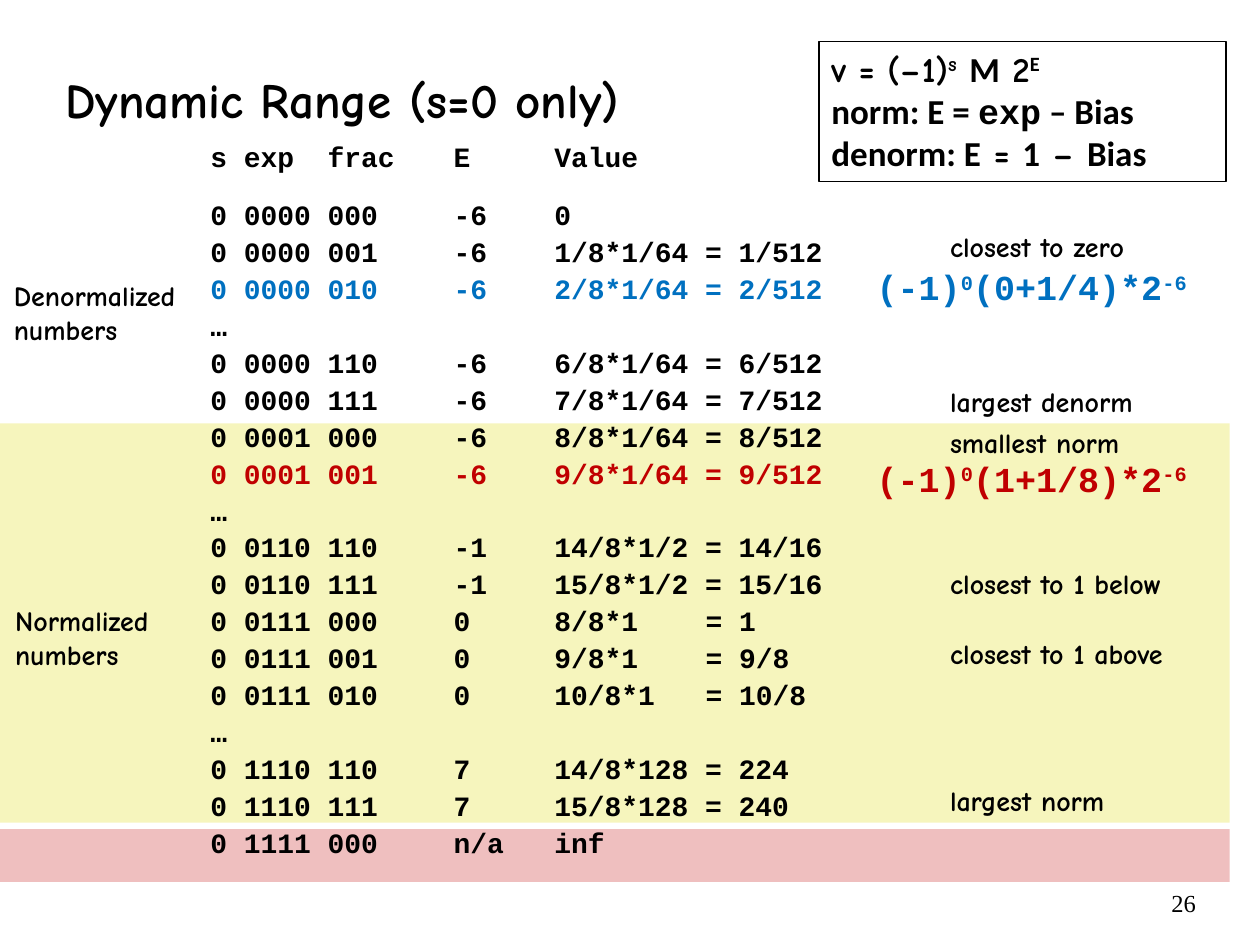
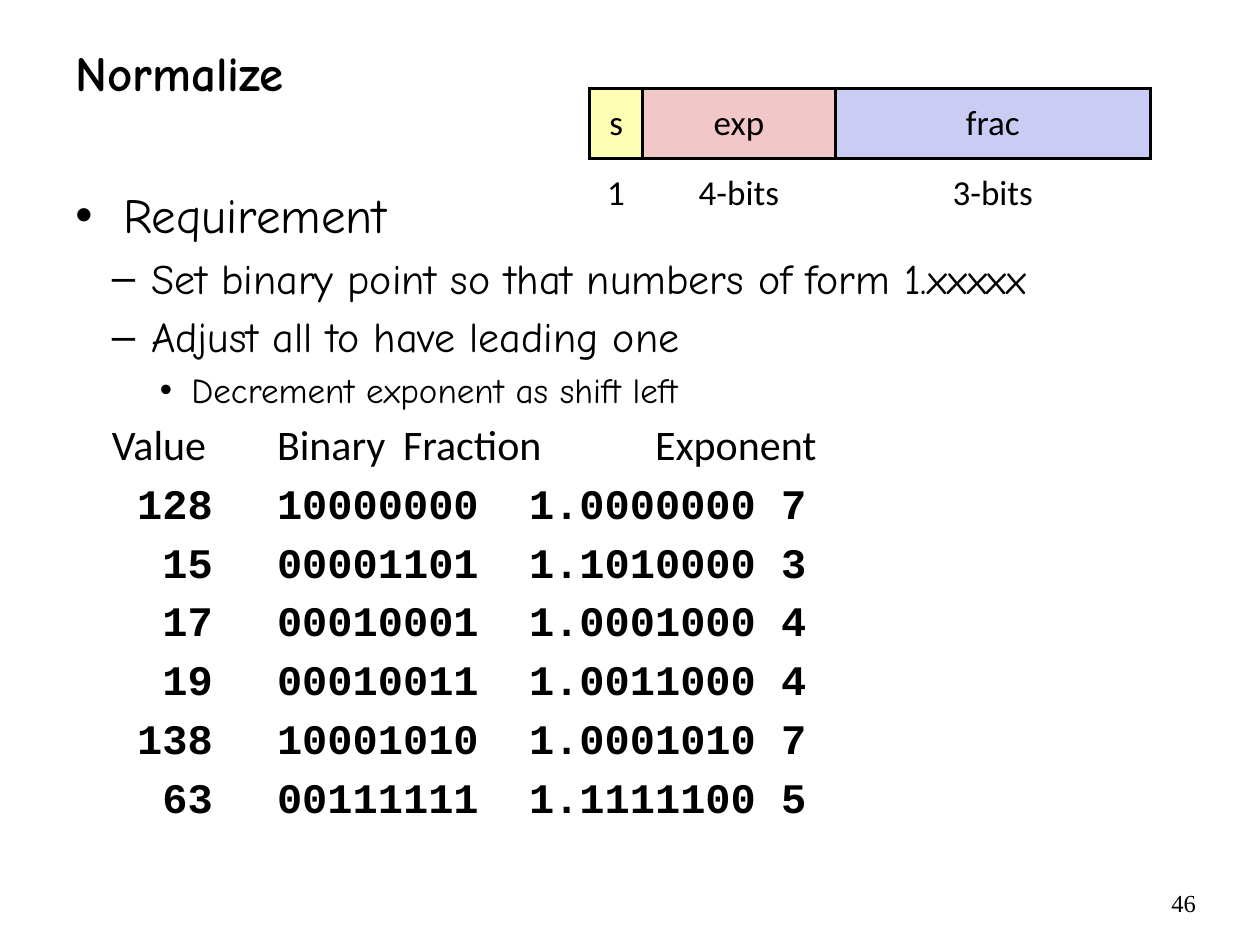
from lxml.etree import SubElement, Element
from pptx import Presentation
from pptx.dml.color import RGBColor
from pptx.enum.shapes import MSO_SHAPE
from pptx.enum.text import MSO_ANCHOR, PP_ALIGN
from pptx.oxml.ns import qn
from pptx.util import Inches, Pt

BLACK = RGBColor(0x00, 0x00, 0x00)
BLUE = RGBColor(0x00, 0x70, 0xC0)
RED = RGBColor(0xC0, 0x00, 0x00)
ROSE = RGBColor(0xEF, 0xBF, 0xBF)
CREAM = RGBColor(0xF6, 0xF5, 0xBD)
YELLOW = RGBColor(0xFF, 0xFE, 0xB2)
PINK = RGBColor(0xF1, 0xC7, 0xC7)
LILAC = RGBColor(0xCB, 0xCC, 0xF3)

COMIC, SANS, MONO, SERIF = "Comic Neue", "Calibri", "Courier New", "Times New Roman"


class Deck:
    def __init__(self):
        self.prs = Presentation()
        self.prs.slide_width, self.prs.slide_height = Inches(10), Inches(7.5)
        self.slide = None

    def start(self, title, place, number):
        """Add a slide with its title and page number."""
        self.slide = self.prs.slides.add_slide(self.prs.slide_layouts[6])
        self.text(place, [title], 28, anchor=MSO_ANCHOR.MIDDLE)
        page = self.text((8.17, 7, 1.42, 0.28), [str(number)], 14, SERIF, bold=False)
        page.text_frame.paragraphs[0].alignment = PP_ALIGN.RIGHT

    def style(self, run, size, font=COMIC, color=BLACK, bold=True, raised=0):
        run.font.size, run.font.name, run.font.bold = Pt(size), font, bold
        run.font.color.rgb = color
        if raised:
            run._r.get_or_add_rPr().set("baseline", str(raised * 1000))

    def frame(self, place, inset=None, wrap=True, anchor=MSO_ANCHOR.TOP):
        box = self.slide.shapes.add_textbox(*map(Inches, place))
        frame = box.text_frame
        frame.word_wrap, frame.vertical_anchor = wrap, anchor
        if inset is not None:
            frame.margin_left = frame.margin_right = Inches(inset)
            frame.margin_top = frame.margin_bottom = Inches(inset)
        return box

    def text(self, place, lines, size, font=COMIC, color=BLACK, bold=True, **layout):
        """Each line is a string or a list of (text, font, raised percent)."""
        box = self.frame(place, **layout)
        for i, line in enumerate(lines):
            para = self.para(box, i)
            parts = [(line, font, 0)] if isinstance(line, str) else line
            for words, face, raised in parts:
                run = para.add_run()
                run.text = words
                self.style(run, size, face, color, bold, raised)
        return box

    def para(self, box, index):
        frame = box.text_frame
        return frame.add_paragraph() if index else frame.paragraphs[0]

    def bullet(self, para, left, first, char):
        props = para._p.get_or_add_pPr()
        props.set("marL", str(Inches(left)))
        props.set("indent", str(Inches(first)))
        SubElement(props, qn("a:buFont")).set("typeface", "Arial")
        SubElement(props, qn("a:buChar")).set("char", char)

    def tabs(self, para, stops):
        """Set (place, side) tab stops; an indent would cancel them."""
        group = SubElement(para._p.get_or_add_pPr(), qn("a:tabLst"))
        for pos, side in stops:
            stop = SubElement(group, qn("a:tab"))
            stop.set("pos", str(Inches(pos)))
            stop.set("algn", side)

    def band(self, place, color):
        shape = self.slide.shapes.add_shape(MSO_SHAPE.RECTANGLE, *map(Inches, place))
        shape.shadow.inherit = False
        shape.fill.solid()
        shape.fill.fore_color.rgb = color
        shape.line.fill.background()

    def border(self, cell, sides):
        """Draw black lines on the given sides and none on the others."""
        props = cell._tc.get_or_add_tcPr()
        for i, side in enumerate("LRTB"):
            line = Element(qn("a:ln" + side))
            line.set("w", str(Pt(2)))
            if side in sides:
                fill = SubElement(line, qn("a:solidFill"))
                SubElement(fill, qn("a:srgbClr")).set("val", str(BLACK))
            else:
                SubElement(line, qn("a:noFill"))
            props.insert(i, line)

    def fields(self, place, widths, rows, colors):
        """Table of bit fields: a filled, ruled row above a plain one."""
        shape = self.slide.shapes.add_table(len(rows), len(widths), *map(Inches, place))
        table = shape.table
        table.first_row = table.horz_banding = False
        for col, width in zip(table.columns, widths):
            col.width = Inches(width)
        for r, row in enumerate(rows):
            for c, words in enumerate(row):
                cell = table.cell(r, c)
                cell.margin_left = cell.margin_right = Inches(0.06)
                cell.margin_top = cell.margin_bottom = Inches(0.06)
                cell.vertical_anchor = MSO_ANCHOR.MIDDLE
                cell.text = words
                para = cell.text_frame.paragraphs[0]
                para.alignment = PP_ALIGN.CENTER
                self.style(para.runs[0], 20, SANS, bold=False)
                if r == 0:
                    cell.fill.solid()
                    cell.fill.fore_color.rgb = colors[c]
                else:
                    cell.fill.background()
                self.border(cell, "T" if r else "LRTB")


CODES = [
    "s exp\tfrac\tE\tValue",
    "0 0000 000\t-6\t0",
    "0 0000 001\t-6\t1/8*1/64 = 1/512",
    "0 0000 010\t-6\t2/8*1/64 = 2/512",
    "…",
    "0 0000 110\t-6\t6/8*1/64 = 6/512",
    "0 0000 111\t-6\t7/8*1/64 = 7/512",
    "0 0001 000\t-6\t8/8*1/64 = 8/512",
    "0 0001 001\t-6\t9/8*1/64 = 9/512",
    "…",
    "0 0110 110\t-1\t14/8*1/2 = 14/16",
    "0 0110 111\t-1\t15/8*1/2 = 15/16",
    "0 0111 000\t0\t8/8*1\t= 1",
    "0 0111 001\t0\t9/8*1\t= 9/8",
    "0 0111 010\t0\t10/8*1\t= 10/8",
    "…",
    "0 1110 110\t7\t14/8*128 = 224",
    "0 1110 111\t7\t15/8*128 = 240",
    "0 1111 000\tn/a\tinf",
]
TINTS = {3: BLUE, 8: RED}
NOTES = [
    ("closest to zero", 1.78, 1.66),
    ("largest denorm", 3.01, 1.71),
    ("smallest norm", 3.34, 1.61),
    ("closest to 1 below", 4.46, 2.02),
    ("closest to 1 above", 5.01, 2.03),
    ("largest norm", 6.18, 1.44),
]
RULES = [
    [("v = (–1)", COMIC, 0), ("s", COMIC, 32), (" ", COMIC, 0), ("M", SANS, 0),
     (" 2", COMIC, 0), ("E", SANS, 32)],
    [("norm: E = ", SANS, 0), ("exp", MONO, 0), (" – Bias", SANS, 0)],
    [("denorm: E", SANS, 0), (" = ", COMIC, 0), ("1", SANS, 0),
     (" – ", COMIC, 0), ("Bias", SANS, 0)],
]
POINTS = [
    ("Requirement", 0, 28),
    ("Set binary point so that numbers of form 1.xxxxx", 1, 24),
    ("Adjust all to have leading one", 1, 24),
    ("Decrement exponent as shift left", 2, 20),
]
LEVELS = [(0.38, -0.38, "•"), (0.6, -0.31, "–"), (0.92, -0.25, "•")]
HEADS = ("Value", "Binary", "Fraction", "Exponent")
VALUES = [
    ("128", "10000000", "1.0000000", "7"),
    ("15", "00001101", "1.1010000", "3"),
    ("17", "00010001", "1.0001000", "4"),
    ("19", "00010011", "1.0011000", "4"),
    ("138", "10001010", "1.0001010", "7"),
    ("63", "00111111", "1.1111100", "5"),
]


def ranges(deck):
    deck.start("Dynamic Range (s=0 only)", (0.42, 0.28, 9.17, 1.01), 26)
    deck.band((0, 6.58, 9.76, 0.42), ROSE)
    deck.band((0, 3.36, 9.76, 3.17), CREAM)

    codes = deck.frame((1.67, 1.08, 5.08, 6.08), inset=0)
    stops = [(pos, "l") for pos in (0.93, 1.93, 2.73, 3.93)]
    for i, code in enumerate(CODES):
        para = deck.para(codes, i)
        para.text = code
        deck.tabs(para, stops)
        para.line_spacing = Pt(21.12)
        if i == 1:
            para.space_before = Pt(12)
        deck.style(para.runs[0], 16, MONO, TINTS.get(i, BLACK))

    for words, top, width in NOTES:
        deck.text((7.5, top, width, 0.35), [words], 16, inset=0.04, wrap=False)
    for kind, left, top, width in (("Denormalized", 0.07, 2.17, 1.55),
                                   ("Normalized", 0.08, 4.75, 1.29)):
        deck.text((left, top, width, 0.62), [kind, "numbers"], 16, inset=0.04, wrap=False)

    rules = deck.text((6.5, 0.33, 3.23, 1.11), RULES, 20)
    rules.line.color.rgb = BLACK
    rules.line.width = Pt(0.75)

    for middle, top, color in (("(0+1/4)*2", 2.06, BLUE), ("(1+1/8)*2", 3.58, RED)):
        parts = [("(-1)", MONO, 0), ("0", MONO, 30), (middle, MONO, 0), ("-6", MONO, 30)]
        deck.text((6.86, top, 2.73, 0.44), [parts], 20, color=color, wrap=False)


def normal(deck):
    deck.start("Normalize", (0.5, 0.22, 9.08, 0.7), 46)
    body = deck.frame((0.5, 1.08, 9.08, 5.83), anchor=MSO_ANCHOR.MIDDLE)

    def add(index, words, size, font=COMIC, bold=False):
        para = deck.para(body, index)
        para.text = words
        para.line_spacing = Pt(size * 1.2)
        if index:
            para.space_before = Pt(size * 0.2)
        deck.style(para.runs[0], size, font, bold=bold)
        return para

    for i, (words, level, size) in enumerate(POINTS):
        para = add(i, words, size)
        para.level = level
        deck.bullet(para, *LEVELS[level])

    stops = [(1.6 + i, "l") for i in range(5)]
    for i, row in enumerate([HEADS] + VALUES, len(POINTS)):
        head = row is HEADS
        para = add(i, "\t" + "\t".join(row), 24, SANS if head else MONO, not head)
        deck.tabs(para, [(0.29, "l") if head else (1.09, "r")] + stops)

    deck.fields((4.68, 0.7, 4.44, 1.11), (0.42, 1.53, 2.5),
                [("s", "exp", "frac"), ("1", "4-bits", "3-bits")],
                (YELLOW, PINK, LILAC))


def main():
    deck = Deck()
    ranges(deck)
    normal(deck)
    deck.prs.save("out.pptx")


if __name__ == "__main__":
    main()
